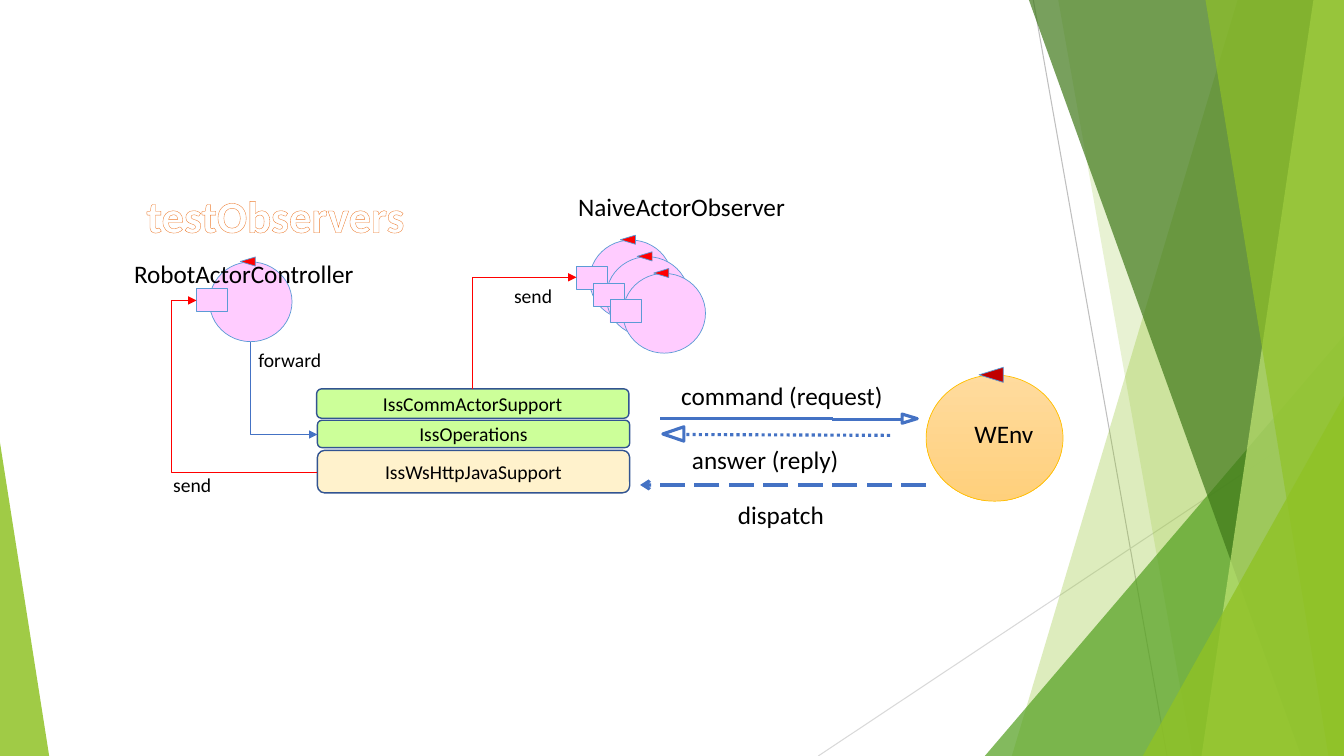
import lxml.etree
import pptx
import pptx.dml.color
import pptx.enum.dml
import pptx.enum.shapes
import pptx.enum.text
import pptx.oxml.ns
import pptx.util

Cm = pptx.util.Cm
Pt = pptx.util.Pt
qn = pptx.oxml.ns.qn
KIND = pptx.enum.shapes.MSO_SHAPE
LINK = pptx.enum.shapes.MSO_CONNECTOR
DASH = pptx.enum.dml.MSO_LINE
BLUE, SKY, RED, PINK = "4472C4", "5B9BD5", "FF0000", "FFCCFF"
LIME = "90C226"


def tint(color):
    return pptx.dml.color.RGBColor.from_string(color)


def add(node, tag, **attrs):
    return lxml.etree.SubElement(node, qn(tag), attrs)


def stroke(line, color, width):
    line.color.rgb = tint(color)
    line.width = Pt(width)


def write(frame, text, size):
    frame.word_wrap = False
    para = frame.paragraphs[0]
    para.text = text
    para.alignment = pptx.enum.text.PP_ALIGN.CENTER
    para.font.name = "Calibri"
    para.font.size = Pt(size)
    para.font.color.rgb = tint("000000")


def label(slide, left, top, width, text, size=18):
    height = 1.02 if size == 18 else 0.86
    box = slide.shapes.add_textbox(Cm(left), Cm(top), Cm(width), Cm(height))
    write(box.text_frame, text, size)


def shape(slide, kind, place, fill, edge, width=0.5, turn=0):
    item = slide.shapes.add_shape(kind, *map(Cm, place))
    item.shadow.inherit = False
    item.rotation = turn
    if fill:
        item.fill.solid()
        item.fill.fore_color.rgb = tint(fill)
    else:
        item.fill.background()
    stroke(item.line, edge, width)
    return item


def layer(slide, left, top, width, text, height, fill):
    item = shape(slide, KIND.ROUNDED_RECTANGLE, (left, top, width, height), fill, "325491", 1)
    item.text_frame.vertical_anchor = pptx.enum.text.MSO_ANCHOR.MIDDLE
    write(item.text_frame, text, 14)


def facet(slide, points, color, alpha):
    start, *rest = [(Cm(x), Cm(y)) for x, y in points]
    pen = slide.shapes.build_freeform(*start)
    pen.add_line_segments(rest)
    item = pen.convert_to_shape()
    item.shadow.inherit = False
    item.fill.solid()
    item.fill.fore_color.rgb = tint(color)
    add(item._element.spPr.find(".//" + qn("a:srgbClr")), "a:alpha", val=str(alpha * 1000))
    item.line.fill.background()


def link(slide, ends, color, width, head=None, dash=None, kind=LINK.STRAIGHT):
    item = slide.shapes.add_connector(kind, *map(Cm, ends))
    stroke(item.line, color, width)
    if dash:
        item.line.dash_style = dash
    if head:
        add(item.line._get_or_add_ln(), "a:tailEnd", type=head)
    add(item._element.spPr, "a:effectLst")
    return item


def bend(slide, ends, color, turn, bends=2, shift=None):
    item = link(slide, ends, color, 0.5, "triangle", kind=LINK.ELBOW)
    props = item._element.spPr
    props.find(qn("a:xfrm")).set("rot", str(turn * 60000))
    geom = props.find(qn("a:prstGeom"))
    geom.set("prst", f"bentConnector{bends}")
    if shift:
        add(geom.find(qn("a:avLst")), "a:gd", name="adj1", fmla=f"val {shift}")


def actor(slide, left, top):
    shape(slide, KIND.OVAL, (left, top, 2.08, 2.01), PINK, SKY)
    shape(slide, KIND.RECTANGLE, (left - 0.33, top + 0.66, 0.79, 0.58), PINK, SKY)
    shape(slide, KIND.ISOSCELES_TRIANGLE, (left + 0.85, top - 0.2, 0.23, 0.38), RED, SKY, turn=270)


def world(slide):
    disc = shape(slide, KIND.OVAL, (23.34, 9.45, 3.45, 3.18), "FFD590", "FFC000")
    disc.fill.gradient()
    disc.fill.gradient_angle = 270
    for place, color in enumerate(("FFDB9E", "FFD07C")):
        stop = disc.fill.gradient_stops[place]
        stop.color.rgb = tint(color)
        stop.position = place
    shape(slide, KIND.ISOSCELES_TRIANGLE, (24.79, 9.14, 0.38, 0.61), "C00000", SKY, turn=270)
    label(slide, 23.8, 10.41, 3, "WEnv")


def title(slide):
    head = slide.shapes.title
    head.left, head.top, head.width, head.height = map(Cm, (3.4, 4.6, 7.09, 1.63))
    write(head.text_frame, "testObservers", 32)
    run = head.text_frame.paragraphs[0].runs[0]
    run.font.name = "Calibri"
    run.font.size = Pt(32)
    run.font.bold = True
    run.font.color.rgb = tint("FFFFFF")
    edge = add(run.font._element, "a:ln", w=str(Pt(0.52)))
    add(add(edge, "a:solidFill"), "a:srgbClr", val="ED7D31")
    run.font._element.insert(0, edge)


def back(slide, wide, high):
    link(slide, (26.04, 0, 29.41, high), "BFBFBF", 0.75)
    link(slide, (wide, 10.24, 20.62, high), "D9D9D9", 0.75)
    for top, foot, color, alpha in (
        ((31.19, 0), 25.5, LIME, 30),
        ((26.67, 0), 30.05, LIME, 20),
        ((wide, 8.46), 24.82, "54A021", 72),
        ((25.93, 0), 32.79, "3F7819", 70),
        ((33.1, 0), 30.28, "C0E474", 70),
        ((30.38, 0), 33.48, LIME, 65),
        ((wide, 9.98), 28.8, LIME, 80),
    ):
        side = [(wide, 0)] if top[0] < wide else []
        facet(slide, [top, *side, (wide, high), (foot, high)], color, alpha)
    facet(slide, [(0, high), (0, 11.15), (1.24, high)], LIME, 85)


def main():
    wide, high = 33.87, 19.05
    deck = pptx.Presentation()
    deck.slide_width, deck.slide_height = Cm(wide), Cm(high)
    slide = deck.slides.add_slide(deck.slide_layouts[5])
    back(slide, wide, high)
    title(slide)
    world(slide)

    layer(slide, 7.98, 9.8, 7.87, "IssCommActorSupport", 0.74, "CCFF99")
    layer(slide, 8, 10.59, 7.87, "IssOperations", 0.69, "CCFF99")
    layer(slide, 8, 11.35, 7.87, "IssWsHttpJavaSupport", 1.07, "FFF2CC")

    shape(slide, KIND.ISOSCELES_TRIANGLE, (22.81, 10.36, 0.23, 0.38), None, BLUE, 2.25, 90)
    link(slide, (20.96, 10.57, 22.73, 10.57), BLUE, 2.25)
    link(slide, (20.98, 10.54, 16.64, 10.54), BLUE, 2.25)
    shape(slide, KIND.ISOSCELES_TRIANGLE, (16.79, 10.67, 0.36, 0.53), None, BLUE, 2.25, 270)
    link(slide, (22.43, 10.97, 17.25, 10.95), BLUE, 2.25, dash=DASH.ROUND_DOT)
    link(slide, (23.34, 12.22, 16.13, 12.22), BLUE, 2.25, "arrow", DASH.LONG_DASH)

    actor(slide, 5.28, 6.6)
    for step in range(3):
        actor(slide, 14.86 + 0.42 * step, 6.05 + 0.42 * step)

    bend(slide, (8.33, 8.94, 5.99, 10.62), BLUE, 270)
    bend(slide, (4.95, 7.57, 8, 11.91), RED, 180, 3, 120900)
    bend(slide, (14.63, 9.71, 11.81, 7.09), RED, 90)

    label(slide, 16.81, 9.45, 5.79, "command (request)")
    label(slide, 17.09, 11.07, 4.39, "answer (reply)")
    label(slide, 18.26, 12.47, 2.84, "dispatch")
    label(slide, 3.02, 6.38, 6.25, "RobotActorController")
    label(slide, 14.1, 4.7, 6.15, "NaiveActorObserver")
    label(slide, 6.25, 8.64, 2.11, "forward", 14)
    label(slide, 4.11, 11.79, 1.47, "send", 14)
    label(slide, 12.7, 7.04, 1.47, "send", 14)
    deck.save("out.pptx")


if __name__ == "__main__":
    main()
